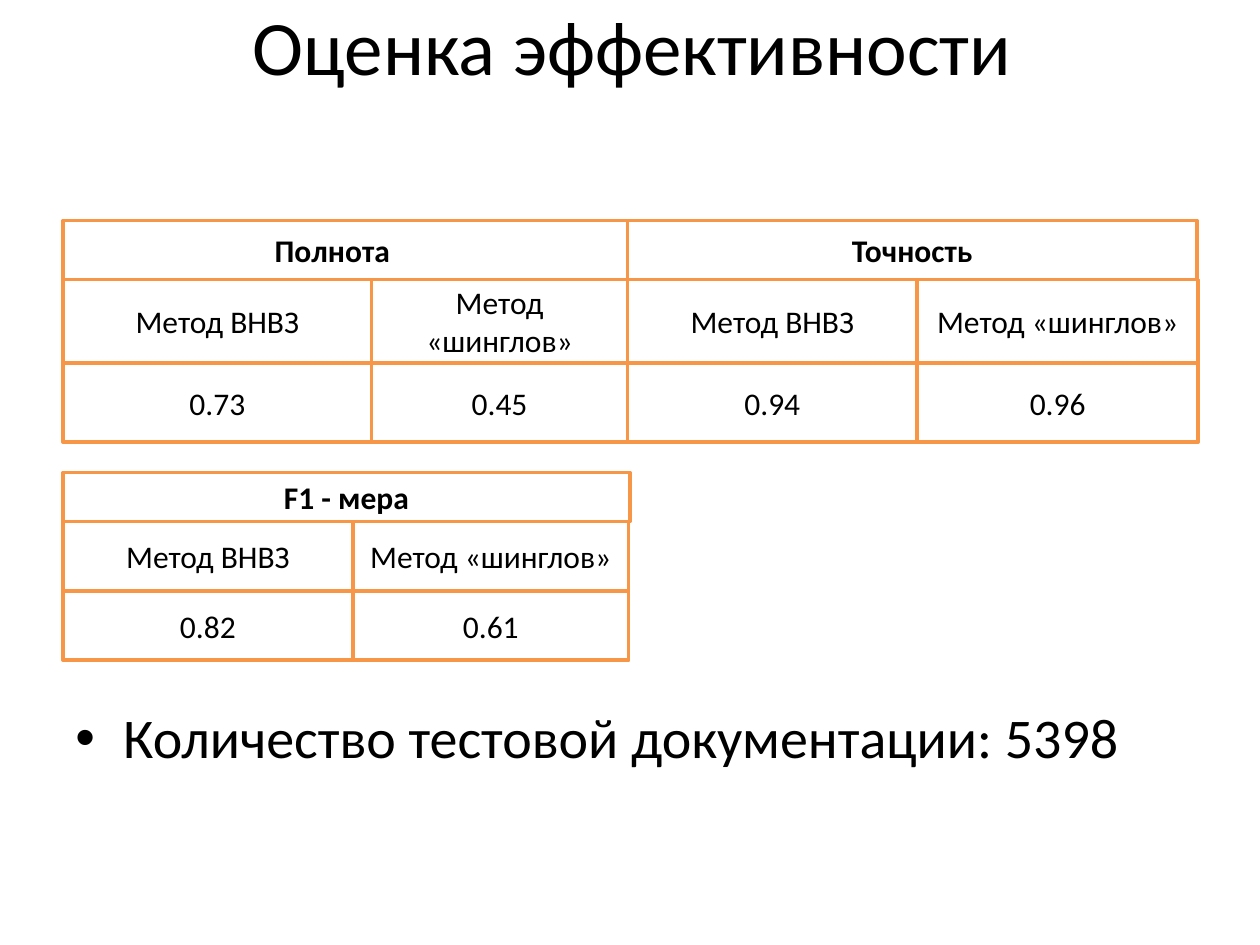
from dataclasses import dataclass

from lxml.etree import SubElement
from pptx import Presentation
from pptx.dml.color import RGBColor
from pptx.enum.shapes import MSO_SHAPE as Shape
from pptx.enum.text import MSO_ANCHOR as Anchor, PP_ALIGN as Align
from pptx.oxml.ns import qn
from pptx.util import Inches, Pt

BLACK = RGBColor(0x00, 0x00, 0x00)
WHITE = RGBColor(0xFF, 0xFF, 0xFF)
ORANGE = RGBColor(0xF7, 0x96, 0x46)
METHODS = ("Метод ВНВЗ", "Метод «шинглов»")


@dataclass
class Metric:
    """A heading above two method columns, lengths in inches."""
    name: str
    left: float
    top: float
    width: float
    col_widths: tuple[float, float]
    row_heights: tuple[float, float, float]
    values: tuple[str, str]
    name_indent: float | None = None


METRICS = [
    Metric("Полнота", 0.5, 1.75, 4.48, (2.45, 2.03), (0.47, 0.66, 0.63),
           ("0.73", "0.45"), name_indent=1.68),
    Metric("Точность", 4.98, 1.75, 4.52, (2.3, 2.23), (0.47, 0.66, 0.63),
           ("0.94", "0.96")),
    Metric("F1 - мера", 0.5, 3.75, 4.5, (2.3, 2.19), (0.39, 0.55, 0.55),
           ("0.82", "0.61")),
]


def write(sp, text: str, size: int, align=Align.CENTER,
          anchor=Anchor.MIDDLE, bold: bool = False):
    """Put one formatted paragraph into a shape and return it."""
    tf = sp.text_frame
    tf.word_wrap = True
    tf.vertical_anchor = anchor
    p = tf.paragraphs[0]
    p.alignment = align
    r = p.add_run()
    r.text = text
    r.font.color.rgb = BLACK
    for name, value in {"name": "Calibri", "size": Pt(size), "bold": bold}.items():
        setattr(r.font, name, value)
    return p


def add_textbox(s, left: float, top: float, width: float, height: float):
    return s.shapes.add_textbox(*map(Inches, (left, top, width, height)))


def add_cell(s, left: float, top: float, width: float, height: float,
             text: str, bold: bool = False, indent: float | None = None) -> None:
    box = map(Inches, (left, top, width, height))
    sp = s.shapes.add_shape(Shape.RECTANGLE, *box)
    sp.shadow.inherit = False
    sp.fill.solid()
    sp.fill.fore_color.rgb = WHITE
    sp.line.color.rgb = ORANGE
    sp.line.width = Pt(2)
    if indent is not None:
        sp.text_frame.margin_left = Inches(indent)
    align = Align.CENTER if indent is None else Align.LEFT
    write(sp, text, 18, align, bold=bold)


def add_metric(s, m: Metric) -> None:
    name_h, label_h, value_h = m.row_heights
    add_cell(s, m.left, m.top, m.width, name_h, m.name, True, m.name_indent)
    top = m.top + name_h
    for texts, height in ((METHODS, label_h), (m.values, value_h)):
        left = m.left
        for text, width in zip(texts, m.col_widths):
            add_cell(s, left, top, width, height, text)
            left += width
        top += height


def add_bullet(p, indent: float) -> None:
    pPr = p._p.get_or_add_pPr()
    pPr.set("marL", str(Inches(indent)))
    pPr.set("indent", str(-Inches(indent)))
    SubElement(pPr, qn("a:buFont")).set("typeface", "Arial")
    SubElement(pPr, qn("a:buChar")).set("char", "•")


def main() -> None:
    prs = Presentation()
    prs.slide_width, prs.slide_height = Inches(10), Inches(7.5)
    s = prs.slides.add_slide(prs.slide_layouts[6])

    # Title
    write(add_textbox(s, 0.52, -0.27, 9, 1.25), "Оценка эффективности", 44)

    # Test set size
    body = add_textbox(s, 0.5, 5.53, 9, 1.17)
    p = write(body, "Количество тестовой документации: 5398", 32,
              Align.LEFT, Anchor.TOP)
    add_bullet(p, 0.38)

    # Metric grids
    for m in METRICS:
        add_metric(s, m)

    prs.save("out.pptx")


if __name__ == "__main__":
    main()
